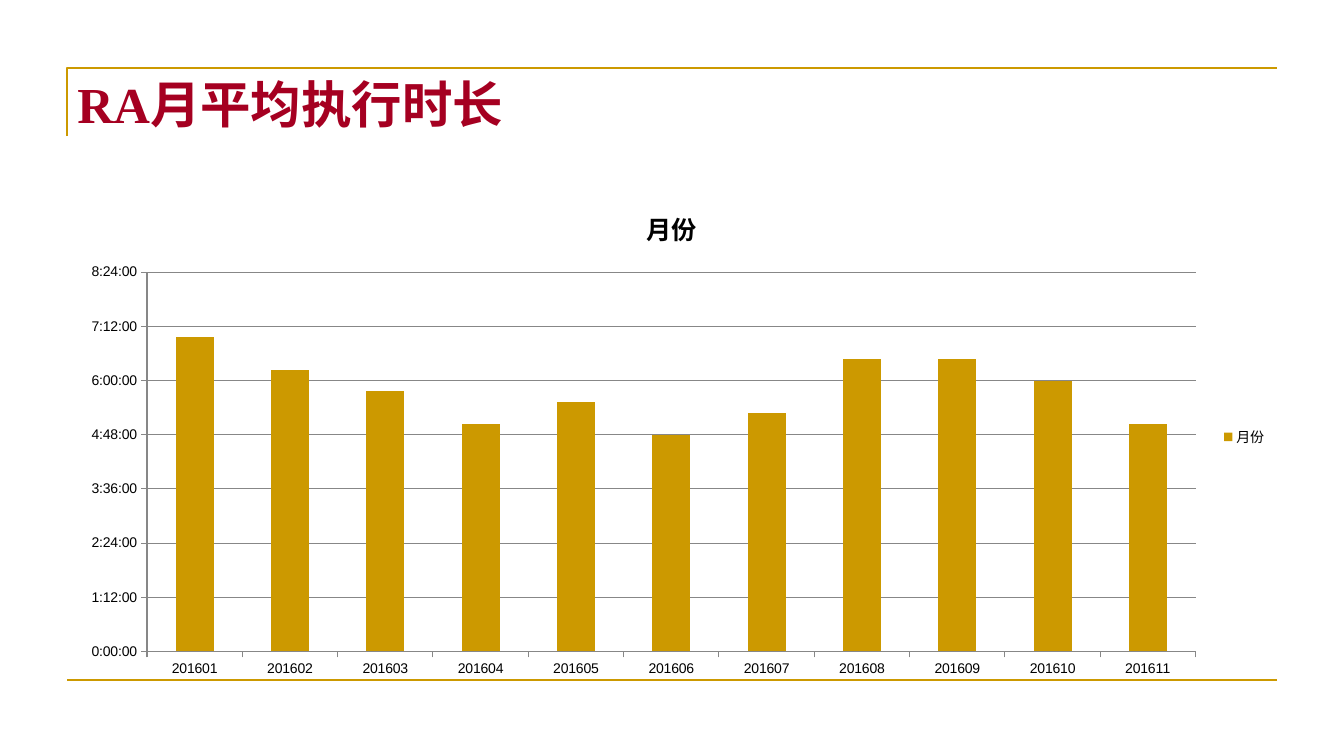
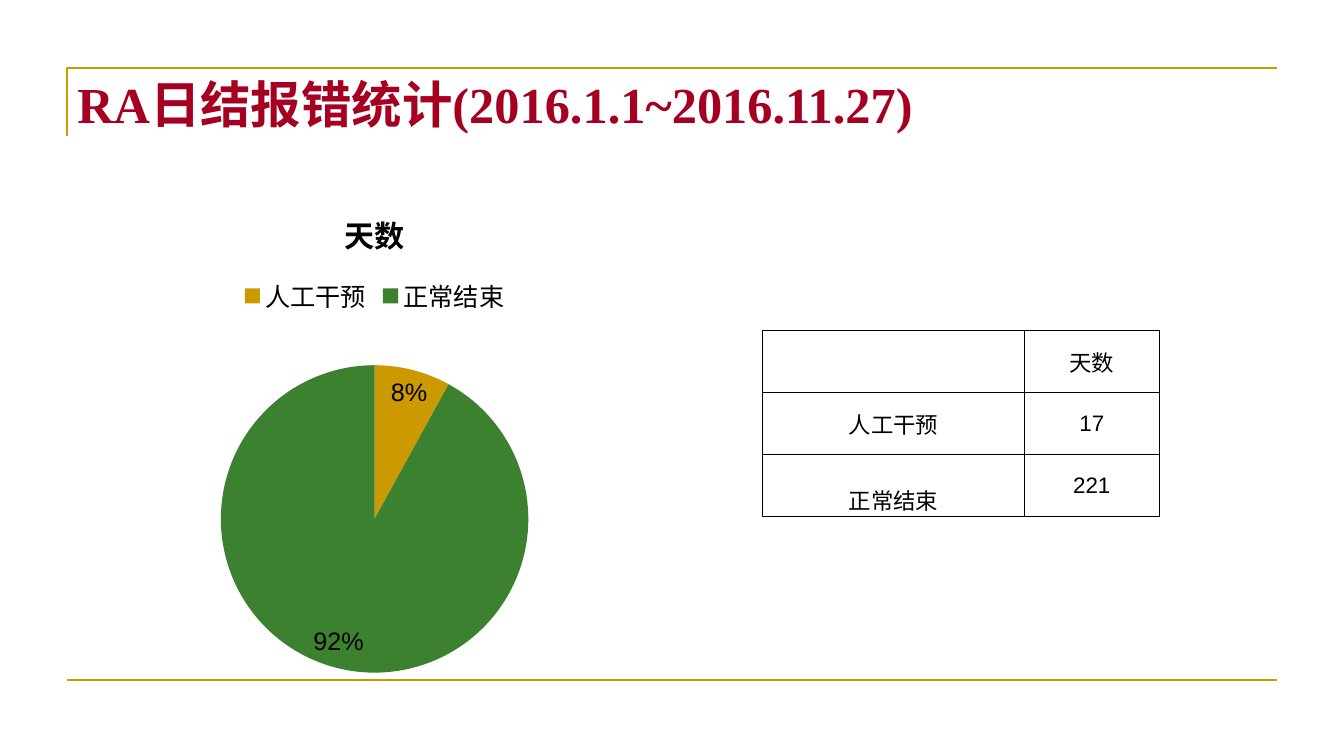
import pptx
import pptx.util
import pptx.chart.data
import pptx.dml.color
import pptx.enum.chart
import pptx.enum.shapes
import pptx.enum.text
import pptx.oxml
import pptx.oxml.ns
import lxml.etree

SLIDE_WIDTH = pptx.util.Inches(13.333)
SLIDE_HEIGHT = pptx.util.Inches(7.5)
GOLD, GREEN, RED = "CC9900", "3B812F", "A50021"
BLACK, GREY = "000000", "878787"
BODY_FONT, TITLE_FONT = "Arial", "Times New Roman"
LEFT, RIGHT, TOP, BOTTOM = 0.05, 0.95, 0.09, 0.9
CHART_TOP, CHART_HEIGHT = 0.248, 0.66


def box_at(left, top, width, height):
    """Turn shares of the slide into lengths."""
    return (round(left * SLIDE_WIDTH), round(top * SLIDE_HEIGHT),
            round(width * SLIDE_WIDTH), round(height * SLIDE_HEIGHT))


def colour(value):
    return pptx.dml.color.RGBColor.from_string(value)


def format_font(font, size, name=BODY_FONT, color=BLACK, bold=False):
    font.size = pptx.util.Pt(size)
    font.name = name
    font.color.rgb = colour(color)
    font.bold = bold


def write_text(frame, text, align=None, **font_format):
    para = frame.paragraphs[0]
    if align is not None:
        para.alignment = align
    span = para.add_run()
    span.text = text
    format_font(span.font, **font_format)


def format_line(line, color, width):
    line.color.rgb = colour(color)
    line.width = pptx.util.Pt(width)


def add_frame(page):
    """Corner bracket above the title and rule at the foot."""
    left, top, right, bottom = box_at(LEFT, TOP, RIGHT, BOTTOM)
    builder = page.shapes.build_freeform(left, 2 * top)
    builder.add_line_segments([(left, top), (right, top)], close=False)
    bracket = builder.convert_to_shape()
    bracket.fill.background()
    bracket.shadow.inherit = False
    rule = page.shapes.add_connector(
        pptx.enum.shapes.MSO_CONNECTOR.STRAIGHT, left, bottom, right, bottom)
    for shape in (bracket, rule):
        format_line(shape.line, GOLD, 1.5)
    lxml.etree.SubElement(rule._element.spPr, pptx.oxml.ns.qn("a:effectLst"))


def add_page(deck, title):
    """Title-only page with the shared frame."""
    page = deck.slides.add_slide(deck.slide_layouts[5])
    add_frame(page)
    box = page.shapes.title
    box.left, box.top, box.width, box.height = box_at(LEFT, TOP, RIGHT - LEFT, 1 / 6)
    frame = box.text_frame
    frame.word_wrap = True
    frame.auto_size = pptx.enum.text.MSO_AUTO_SIZE.NONE
    frame.vertical_anchor = pptx.enum.text.MSO_ANCHOR.TOP
    write_text(frame, title, align=pptx.enum.text.PP_ALIGN.LEFT,
               size=36, name=TITLE_FONT, color=RED, bold=True)
    return page


def place_plot(chart, **shares):
    """Fix the inner plot area as shares of the chart box."""
    plot_area = chart._chartSpace.chart.plotArea
    for old in plot_area.findall(pptx.oxml.ns.qn("c:layout")):
        plot_area.remove(old)
    settings = dict(layoutTarget="inner", xMode="edge", yMode="edge", **shares)
    marks = "".join(f'<c:{key} val="{value}"/>' for key, value in settings.items())
    plot_area.insert(0, pptx.oxml.parse_xml(
        f'<c:layout {pptx.oxml.ns.nsdecls("c")}>'
        f'<c:manualLayout>{marks}</c:manualLayout></c:layout>'))


def add_chart(page, box, kind, name, categories, values, size, title_size, legend):
    """Chart with one series, a bold title and a legend."""
    data = pptx.chart.data.CategoryChartData()
    data.categories = categories
    data.add_series(name, values)
    chart = page.shapes.add_chart(kind, *box, data).chart
    format_font(chart.font, size)
    chart.has_title = True
    write_text(chart.chart_title.text_frame, name, size=title_size, bold=True)
    chart.chart_title.include_in_layout = False
    chart.has_legend = True
    chart.legend.position = legend
    chart.legend.include_in_layout = False
    return chart


def fill_solid(part, color):
    part.format.fill.solid()
    part.format.fill.fore_color.rgb = colour(color)


def add_duration_chart(page, box):
    months = [f"2016{month:02d}" for month in range(1, 12)]
    days = [0.29, 0.26, 0.24, 0.21, 0.23, 0.2, 0.22, 0.27, 0.27, 0.25, 0.21]
    chart = add_chart(page, box, pptx.enum.chart.XL_CHART_TYPE.COLUMN_CLUSTERED,
                      "月份", months, days, size=10, title_size=18,
                      legend=pptx.enum.chart.XL_LEGEND_POSITION.RIGHT)
    place_plot(chart, x=0.066, y=0.17, w=0.867, h=0.76)
    plot = chart.plots[0]
    plot.vary_by_categories = False
    plot.gap_width = 150
    fill_solid(plot.series[0], GOLD)
    for axis in (chart.category_axis, chart.value_axis):
        axis.major_tick_mark = pptx.enum.chart.XL_TICK_MARK.OUTSIDE
        axis.minor_tick_mark = pptx.enum.chart.XL_TICK_MARK.NONE
        format_line(axis.format.line, GREY, 0.75)
    axis = chart.value_axis
    axis.minimum_scale, axis.maximum_scale, axis.major_unit = 0, 0.35, 0.05
    axis.has_major_gridlines = True
    format_line(axis.major_gridlines.format.line, GREY, 0.75)
    axis.tick_labels.number_format = "h:mm:ss"
    axis.tick_labels.number_format_is_linked = False


def add_result_pie(page, box):
    chart = add_chart(page, box, pptx.enum.chart.XL_CHART_TYPE.PIE,
                      "天数", ["人工干预", "正常结束"], [8, 92], size=18, title_size=21.5,
                      legend=pptx.enum.chart.XL_LEGEND_POSITION.TOP)
    place_plot(chart, x=0.25, y=0.356, w=0.5, h=0.617)
    plot = chart.plots[0]
    plot.vary_by_categories = True
    for index, color in enumerate((GOLD, GREEN)):
        fill_solid(plot.series[0].points[index], color)
    plot.has_data_labels = True
    labels = plot.data_labels
    labels.show_percentage, labels.show_value = True, False
    labels.number_format, labels.number_format_is_linked = "0%", False
    labels.position = pptx.enum.chart.XL_LABEL_POSITION.BEST_FIT
    format_font(labels.font, 18)


def add_borders(cell):
    """Thin black line on each side; borders come before the fill."""
    properties = cell._tc.get_or_add_tcPr()
    for index, side in enumerate(("lnL", "lnR", "lnT", "lnB")):
        properties.insert(index, pptx.oxml.parse_xml(
            f'<a:{side} {pptx.oxml.ns.nsdecls("a")} w="{pptx.util.Pt(1)}">'
            f'<a:solidFill><a:srgbClr val="{BLACK}"/></a:solidFill></a:{side}>'))


def add_result_table(page, box):
    rows = [("", "天数"), ("人工干预", "17"), ("正常结束", "221")]
    table = page.shapes.add_table(len(rows), 2, *box).table
    table.first_row = table.horz_banding = False
    for column, share in zip(table.columns, (0.66, 0.34)):
        column.width = round(box[2] * share)
    for row_index, row in enumerate(rows):
        for column_index, text in enumerate(row):
            cell = table.cell(row_index, column_index)
            cell.fill.background()
            add_borders(cell)
            cell.margin_left = cell.margin_right = 0
            cell.margin_top = cell.margin_bottom = 0
            cell.vertical_anchor = pptx.enum.text.MSO_ANCHOR.MIDDLE
            if text:
                write_text(cell.text_frame, text, size=16,
                           align=pptx.enum.text.PP_ALIGN.CENTER)
    # The last row label sits on the bottom border
    table.cell(2, 0).vertical_anchor = pptx.enum.text.MSO_ANCHOR.BOTTOM


def main():
    deck = pptx.Presentation()
    deck.slide_width, deck.slide_height = SLIDE_WIDTH, SLIDE_HEIGHT

    # Monthly run time
    page = add_page(deck, "RA月平均执行时长")
    add_duration_chart(page, box_at(LEFT, CHART_TOP, RIGHT - LEFT, CHART_HEIGHT))

    # Daily closing errors
    page = add_page(deck, "RA日结报错统计(2016.1.1~2016.11.27)")
    add_result_table(page, box_at(0.5675, 0.437, 0.295, 0.246))
    add_result_pie(page, box_at(LEFT, CHART_TOP, 0.4575, CHART_HEIGHT))

    deck.save("out.pptx")


if __name__ == "__main__":
    main()
